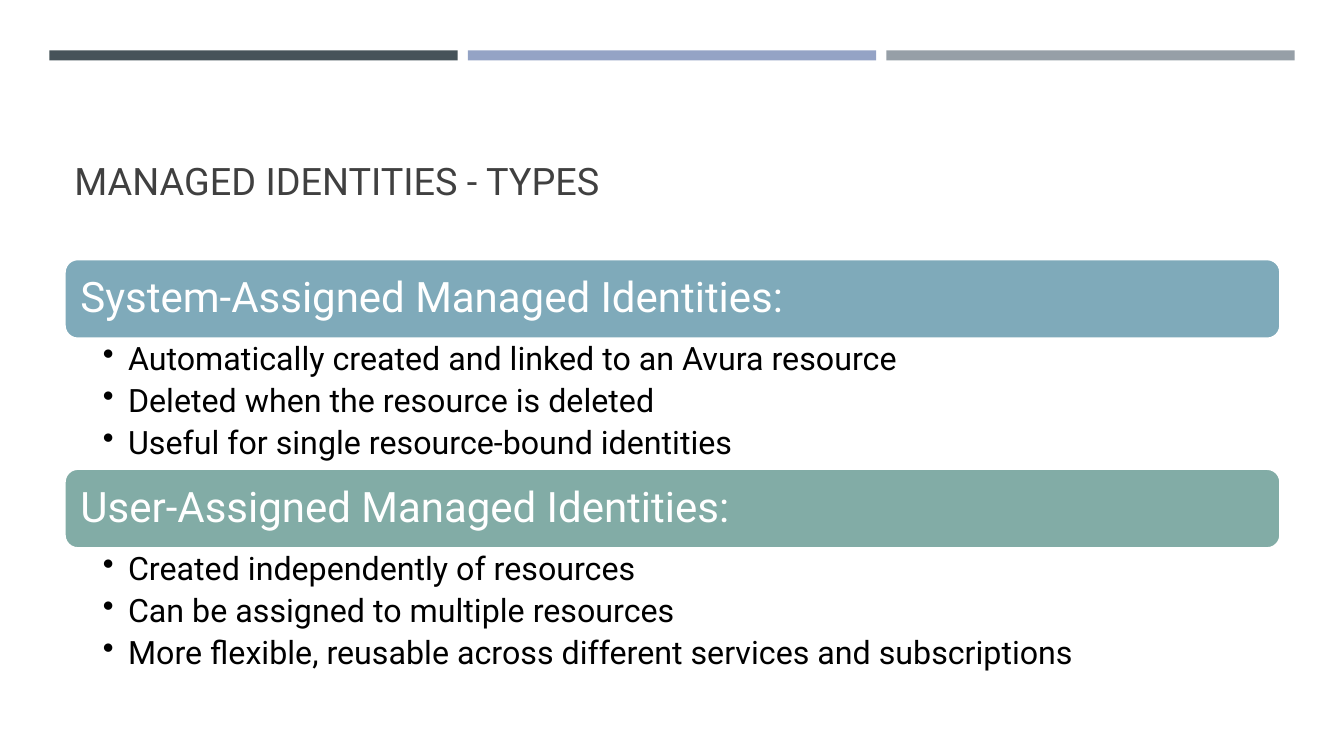
import pptx
import pptx.util
import pptx.dml.color
import pptx.enum.shapes
import pptx.enum.text
import pptx.oxml.ns
from lxml import etree

Inches = pptx.util.Inches
Pt = pptx.util.Pt
Shape = pptx.enum.shapes.MSO_SHAPE
Anchor = pptx.enum.text.MSO_ANCHOR

FONT = "Roboto"
COLORS = {
    "slate": "465359",
    "periwinkle": "94A3C5",
    "gray": "969FA7",
    "title": "404040",
    "blue": "7FAABA",
    "green": "82ACA6",
    "white": "FFFFFF",
    "black": "000000",
}
LEFT, WIDTH = 0.64, 12.06
HEADING_HEIGHT, LIST_HEIGHT = 0.79, 1.29
SECTIONS_TOP = 2.57
SECTIONS = [
    ("System-Assigned Managed Identities:", "blue", [
        "Automatically created and linked to an Avura resource",
        "Deleted when the resource is deleted",
        "Useful for single resource-bound identities",
    ]),
    ("User-Assigned Managed Identities:", "green", [
        "Created independently of resources",
        "Can be assigned to multiple resources",
        "More flexible, reusable across different services and subscriptions",
    ]),
]


def rgb(name):
    return pptx.dml.color.RGBColor.from_string(COLORS[name])


def add_block(page, kind, left, top, width, height, fill):
    block = page.shapes.add_shape(
        kind, Inches(left), Inches(top), Inches(width), Inches(height))
    block.shadow.inherit = False
    block.fill.solid()
    block.fill.fore_color.rgb = rgb(fill)
    block.line.fill.background()
    return block


def set_frame(box, anchor, margins):
    """Wrap the text; margins are left, top, right, bottom in inches."""
    frame = box.text_frame
    frame.word_wrap = True
    frame.vertical_anchor = anchor
    (frame.margin_left, frame.margin_top,
     frame.margin_right, frame.margin_bottom) = map(Inches, margins)
    return frame


def write(paragraph, text, size, color):
    paragraph.text = text
    paragraph.alignment = pptx.enum.text.PP_ALIGN.LEFT
    paragraph.line_spacing = 0.9
    paragraph.font.name = FONT
    paragraph.font.size = Pt(size)
    paragraph.font.color.rgb = rgb(color)


def add_bullet(paragraph):
    properties = paragraph._p.get_or_add_pPr()
    properties.set("marL", str(Inches(0.25)))
    properties.set("indent", str(Inches(-0.25)))
    bullet = etree.SubElement(properties, pptx.oxml.ns.qn("a:buChar"))
    bullet.set("char", "•")


def add_text_box(page, top, height):
    return page.shapes.add_textbox(
        Inches(LEFT), Inches(top), Inches(WIDTH), Inches(height))


def add_title(page, text):
    frame = set_frame(add_text_box(page, 0.77, 1.3), Anchor.BOTTOM,
                      (0.1, 0.05, 0.1, 0.05))
    write(frame.paragraphs[0], text, 27, "title")


def add_heading(page, top, text, fill):
    bar = add_block(page, Shape.ROUNDED_RECTANGLE,
                    LEFT, top, WIDTH, HEADING_HEIGHT, fill)
    bar.line.color.rgb = rgb("white")
    bar.line.width = Pt(1.75)
    frame = set_frame(bar, Anchor.MIDDLE, (0.12, 0.12, 0.12, 0.12))
    write(frame.paragraphs[0], text, 30, "white")


def add_list(page, top, items):
    frame = set_frame(add_text_box(page, top, LIST_HEIGHT), Anchor.TOP,
                      (0.38, 0.04, 0.23, 0.04))
    for index, item in enumerate(items):
        paragraph = frame.add_paragraph() if index else frame.paragraphs[0]
        add_bullet(paragraph)
        write(paragraph, item, 23, "black")
        paragraph.space_after = Pt(5.2)


def main():
    deck = pptx.Presentation()
    deck.slide_width, deck.slide_height = Inches(13.33), Inches(7.5)
    page = deck.slides.add_slide(deck.slide_layouts[6])

    for column, fill in enumerate(("slate", "periwinkle", "gray")):
        add_block(page, Shape.RECTANGLE, 0.49 + column * 4.15, 0.5, 4.05, 0.1, fill)
    add_title(page, "MANAGED IDENTITIES - TYPES")
    for index, (heading, fill, items) in enumerate(SECTIONS):
        top = SECTIONS_TOP + index * (HEADING_HEIGHT + LIST_HEIGHT)
        add_heading(page, top, heading, fill)
        add_list(page, top + HEADING_HEIGHT, items)

    deck.save("out.pptx")


if __name__ == "__main__":
    main()
